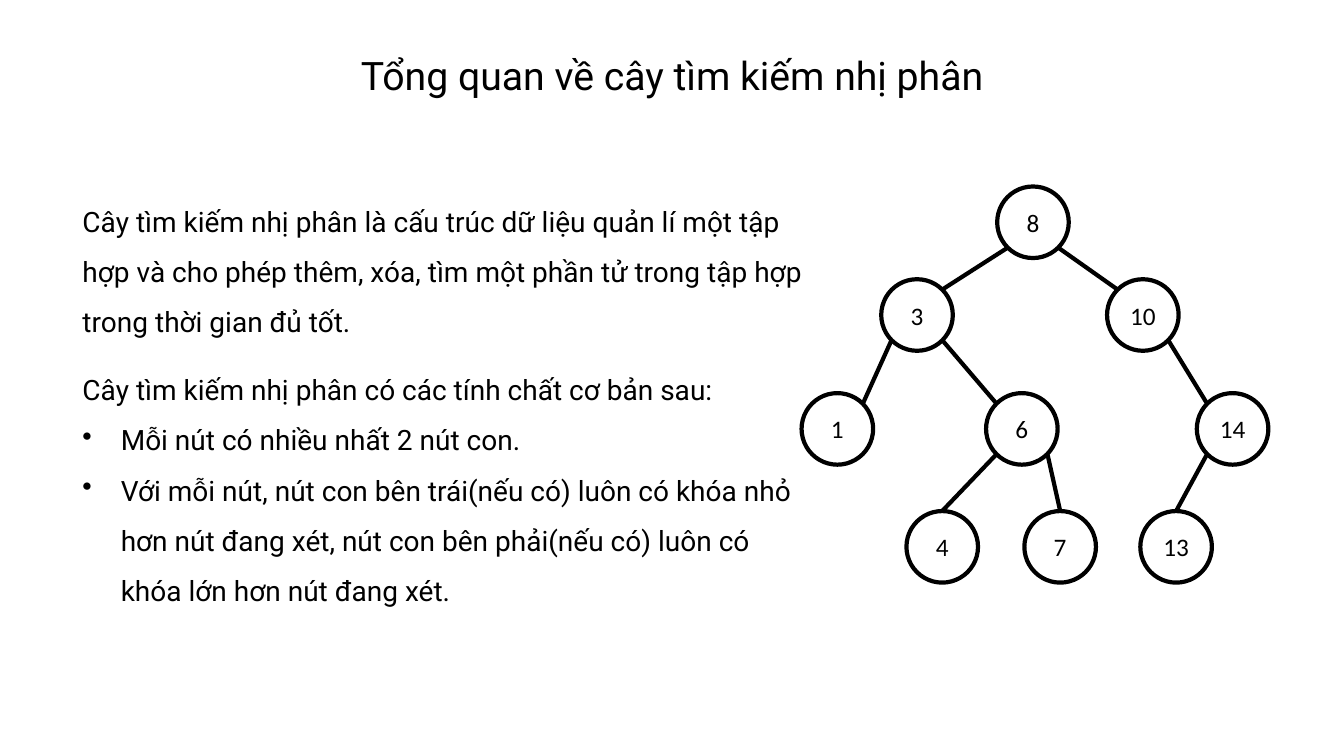
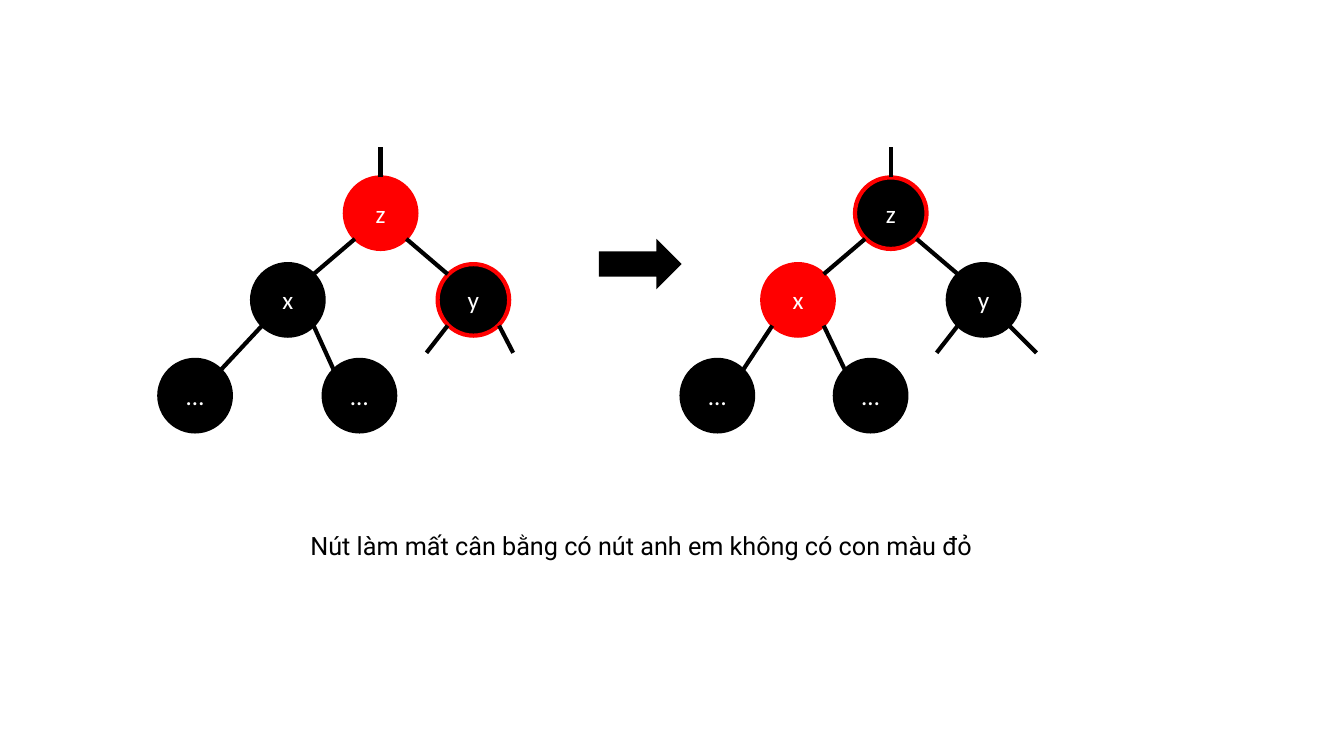
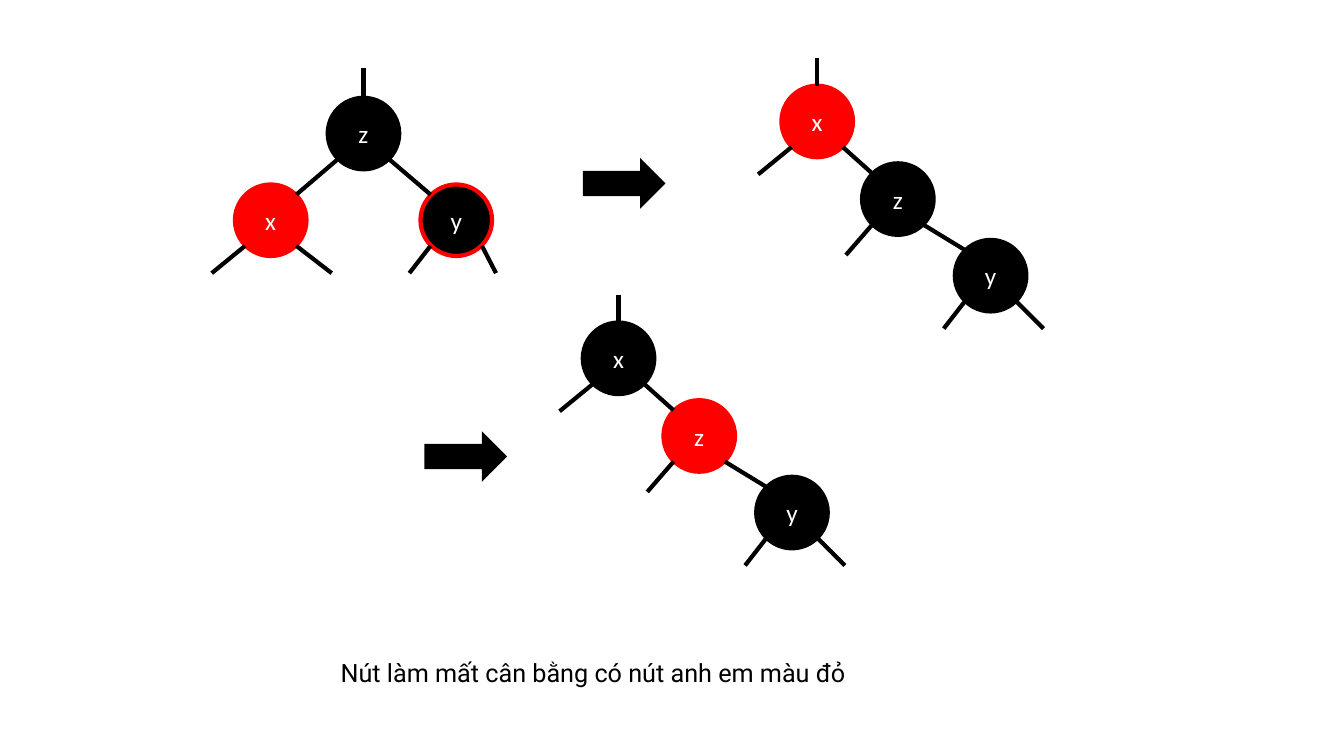
from dataclasses import dataclass

from lxml import etree
from pptx import Presentation
from pptx.dml.color import RGBColor
from pptx.enum.shapes import MSO_CONNECTOR, MSO_SHAPE
from pptx.enum.text import MSO_ANCHOR, MSO_AUTO_SIZE, PP_ALIGN
from pptx.oxml.ns import qn
from pptx.util import Inches, Pt

ELLIPSE, RIGHT_ARROW = MSO_SHAPE.OVAL, MSO_SHAPE.RIGHT_ARROW
STRAIGHT = MSO_CONNECTOR.STRAIGHT
CENTER = PP_ALIGN.CENTER
TOP, MIDDLE = MSO_ANCHOR.TOP, MSO_ANCHOR.MIDDLE
GROW = MSO_AUTO_SIZE.SHAPE_TO_FIT_TEXT
TITLE_ONLY, BLANK = 5, 6
SLIDE_WIDTH, SLIDE_HEIGHT = 13.33, 7.5


@dataclass(frozen=True)
class Theme:
    black: RGBColor = RGBColor(0, 0, 0)
    white: RGBColor = RGBColor(255, 255, 255)
    red: RGBColor = RGBColor(255, 0, 0)
    text_font: str = "Roboto"
    node_font: str = "Calibri"
    title_size: int = 28
    body_size: int = 20
    small_size: int = 18
    line_width: int = 3


THEME = Theme()

# Node styles: fill, outline, text
PLAIN = (THEME.white, THEME.black, THEME.black)
BLACK = (THEME.black, THEME.black, THEME.white)
RED = (THEME.red, THEME.red, THEME.white)
DOUBLE_BLACK = (THEME.black, THEME.red, THEME.white)

# Points where edges meet a node, measured from its top left corner
NODE_SIZE = 0.71
NEAR, FAR = 0.1, 0.61
SITES = {
    "top": (NODE_SIZE / 2, 0),
    "upper left": (NEAR, NEAR),
    "upper right": (FAR, NEAR),
    "lower left": (NEAR, FAR),
    "lower right": (FAR, FAR),
}


class Deck:
    def __init__(self, theme):
        self.theme = theme
        self.presentation = Presentation()
        self.presentation.slide_width = Inches(SLIDE_WIDTH)
        self.presentation.slide_height = Inches(SLIDE_HEIGHT)
        self.slide = None

    def new_slide(self, layout):
        self.slide = self.presentation.slides.add_slide(
            self.presentation.slide_layouts[layout])

    def format_text(self, paragraph, size, color, font):
        for run in paragraph.runs:
            run.font.size = Pt(size)
            run.font.color.rgb = color
            run.font.name = font

    def title(self, text):
        title = self.slide.shapes.title
        title.left, title.top = Inches(0), Inches(0.46)
        title.width, title.height = Inches(SLIDE_WIDTH), Inches(0.57)
        frame = title.text_frame
        frame.text = text
        frame.vertical_anchor = TOP
        frame.auto_size = GROW
        paragraph = frame.paragraphs[0]
        paragraph.alignment = CENTER
        self.format_text(paragraph, self.theme.title_size, self.theme.black,
                         self.theme.text_font)

    def text(self, left, top, width, height, lines, size):
        """Each line is its text, line spacing and whether it has a bullet."""
        box = self.slide.shapes.add_textbox(
            Inches(left), Inches(top), Inches(width), Inches(height))
        frame = box.text_frame
        frame.word_wrap = True
        frame.auto_size = GROW
        frame.text = "\n".join(text for text, _, _ in lines)
        for paragraph, (_, spacing, bulleted) in zip(frame.paragraphs, lines):
            paragraph.line_spacing = spacing
            if bulleted:
                self.bullet(paragraph)
            self.format_text(paragraph, size, self.theme.black,
                             self.theme.text_font)

    def bullet(self, paragraph):
        properties = paragraph._p.get_or_add_pPr()
        indent = Inches(0.38)
        properties.set("marL", str(indent))
        properties.set("indent", str(-indent))
        etree.SubElement(properties, qn("a:buChar")).set("char", "•")

    def caption(self, left, top, text):
        self.text(left, top, 8.02, 0.5, [(text, 1.5, False)],
                  self.theme.small_size)

    def node(self, left, top, label, style):
        fill, outline, text_color = style
        shape = self.slide.shapes.add_shape(
            ELLIPSE, Inches(left), Inches(top),
            Inches(NODE_SIZE), Inches(NODE_SIZE))
        shape.shadow.inherit = False
        shape.fill.solid()
        shape.fill.fore_color.rgb = fill
        shape.line.color.rgb = outline
        shape.line.width = Pt(self.theme.line_width)
        frame = shape.text_frame
        frame.text = label
        frame.vertical_anchor = MIDDLE
        paragraph = frame.paragraphs[0]
        paragraph.alignment = CENTER
        self.format_text(paragraph, self.theme.small_size, text_color,
                         self.theme.node_font)
        return left, top

    def line(self, start, end):
        connector = self.slide.shapes.add_connector(
            STRAIGHT, *(Inches(value) for value in (*start, *end)))
        connector.line.color.rgb = self.theme.black
        connector.line.width = Pt(self.theme.line_width)
        etree.SubElement(connector._element.spPr, qn("a:effectLst"))

    def site(self, node, name):
        return tuple(base + shift for base, shift in zip(node, SITES[name]))

    def edge(self, parent, child, child_site=None):
        goes_left = child[0] < parent[0]
        parent_site = "lower left" if goes_left else "lower right"
        child_site = child_site or (
            "upper right" if goes_left else "upper left")
        self.line(self.site(parent, parent_site), self.site(child, child_site))

    def stub(self, node, site, across, down):
        x, y = self.site(node, site)
        self.line((x, y), (x + across, y + down))

    def arrow(self, left, top):
        shape = self.slide.shapes.add_shape(
            RIGHT_ARROW, Inches(left), Inches(top), Inches(0.82), Inches(0.5))
        shape.shadow.inherit = False
        shape.fill.solid()
        shape.fill.fore_color.rgb = self.theme.black
        shape.line.fill.background()

    def branch(self, left, top, z_style, x_style, y_style, y_reach):
        """Draw z above its children x and y; return x."""
        z = self.node(left, top, "z", z_style)
        x = self.node(left - 0.92, top + 0.86, "x", x_style)
        y = self.node(left + 0.92, top + 0.86, "y", y_style)
        self.edge(z, x)
        self.edge(z, y)
        self.stub(z, "top", 0, -0.3)
        self.stub(y, "lower left", -0.21, 0.27)
        self.stub(y, "lower right", y_reach, 0.27)
        return x

    def chain(self, left, top, x_style, z_style):
        """Draw x, z and y, each the right child of the one before."""
        x = self.node(left, top, "x", x_style)
        z = self.node(left + 0.8, top + 0.77, "z", z_style)
        y = self.node(left + 1.72, top + 1.53, "y", BLACK)
        self.edge(x, z)
        self.edge(z, y)
        self.stub(x, "top", 0, -0.27)
        self.stub(x, "lower left", -0.33, 0.27)
        self.stub(z, "lower left", -0.26, 0.3)
        self.stub(y, "lower left", -0.21, 0.27)
        self.stub(y, "lower right", 0.27, 0.27)


deck = Deck(THEME)

# Slide 1: overview of the binary search tree
deck.new_slide(TITLE_ONLY)
deck.title("Tổng quan về cây tìm kiếm nhị phân")
deck.text(0.72, 1.81, 7.46, 4.25, [
    ("Cây tìm kiếm nhị phân là cấu trúc dữ liệu quản lí một tập hợp và cho "
     "phép thêm, xóa, tìm một phần tử trong tập hợp trong thời gian đủ tốt.",
     1.5, False),
    ("Cây tìm kiếm nhị phân có các tính chất cơ bản sau:", 2.0, False),
    ("Mỗi nút có nhiều nhất 2 nút con.", 1.5, True),
    ("Với mỗi nút, nút con bên trái(nếu có) luôn có khóa nhỏ hơn nút đang "
     "xét, nút con bên phải(nếu có) luôn có khóa lớn hơn nút đang xét.",
     1.5, True),
], THEME.body_size)

tree_rows = [
    (1.85, {8: 9.89}),
    (2.77, {3: 8.74, 10: 10.98}),
    (3.9, {1: 7.95, 6: 9.78, 14: 11.87}),
    (5.07, {4: 8.99, 7: 10.16, 13: 11.31}),
]
nodes = {key: deck.node(left, top, str(key), PLAIN)
         for top, row in tree_rows for key, left in row.items()}
for parent, child in [(8, 3), (8, 10), (3, 1), (3, 6), (10, 14)]:
    deck.edge(nodes[parent], nodes[child])
for parent, child in [(6, 4), (6, 7), (14, 13)]:
    deck.edge(nodes[parent], nodes[child], "top")

# Slide 2: sibling without a red child
deck.new_slide(BLANK)
before = deck.branch(3.42, 1.76, RED, BLACK, DOUBLE_BLACK, 0.14)
after = deck.branch(8.48, 1.76, DOUBLE_BLACK, RED, BLACK, 0.27)
for parent, child_lefts in [(before, (1.58, 3.21)), (after, (6.76, 8.28))]:
    for left in child_lefts:
        deck.edge(parent, deck.node(left, 3.57, "…", BLACK))
deck.arrow(5.94, 2.37)
deck.caption(2.98, 5.06, "Nút làm mất cân bằng có nút anh em không có con màu đỏ")

# Slide 3: red sibling
deck.new_slide(BLANK)
sibling = deck.branch(3.25, 0.97, BLACK, RED, DOUBLE_BLACK, 0.14)
deck.stub(sibling, "lower left", -0.33, 0.27)
deck.stub(sibling, "lower right", 0.35, 0.27)
deck.arrow(5.78, 1.57)
deck.chain(7.75, 0.85, RED, BLACK)
deck.arrow(4.21, 4.28)
deck.chain(5.78, 3.2, BLACK, RED)
deck.caption(3.28, 6.32, "Nút làm mất cân bằng có nút anh em màu đỏ")

deck.presentation.save("out.pptx")
